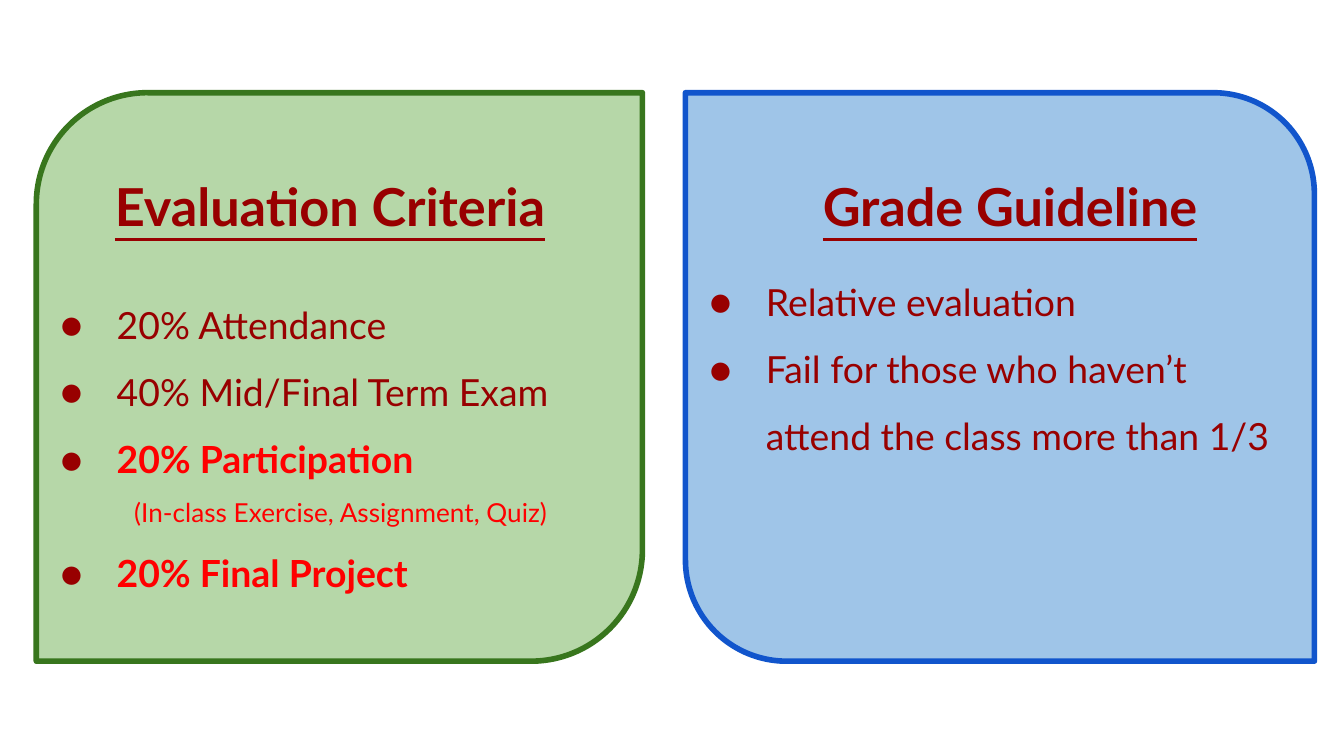
from lxml import etree
from pptx import Presentation
from pptx.dml.color import RGBColor
from pptx.enum.shapes import MSO_SHAPE
from pptx.enum.text import MSO_ANCHOR, PP_ALIGN
from pptx.oxml.ns import qn
from pptx.util import Inches, Pt

CARD = MSO_SHAPE.ROUND_2_DIAG_RECTANGLE
TOP, CENTER = MSO_ANCHOR.TOP, PP_ALIGN.CENTER

COLORS = {
    "maroon": "980000", "red": "FF0000",
    "green": "B6D7A8", "dark_green": "38761D",
    "blue": "9FC5E8", "dark_blue": "1155CC",
}
FONT = "Lato"

# Text styles: font values, indent in inches, bullet or not
STYLES = {
    "title": {"font": {"size": Pt(28), "bold": True, "underline": True}, "color": "maroon"},
    "item": {"font": {"size": Pt(20)}, "color": "maroon", "bullet": True},
    "key": {"font": {"size": Pt(20), "bold": True}, "color": "red", "bullet": True},
    "note": {"font": {"size": Pt(14)}, "color": "red", "indent": 0.63},
}

# Content: boxes are left, top, width, height in inches
CARD_TOP, CARD_H = 0.69, 4.23
TITLE_TOP, TITLE_W, TEXT_H = 0.96, 4.51, 1.23
CARDS = [
    {
        "left": 0.27, "width": 4.51, "corners": (0.196, 0),
        "fill": "green", "line": "dark_green",
        "title": "Evaluation Criteria", "title_left": 0.2,
        "list_top": 1.98, "list_width": 4.61,
        "items": [
            ("20% Attendance", "item"),
            ("40% Mid/Final Term Exam", "item"),
            ("20% Participation", "key"),
            ("(In-class Exercise, Assignment, Quiz)", "note"),
            ("20% Final Project", "key"),
        ],
    },
    {
        "left": 5.1, "width": 4.68, "corners": (0, 0.178),
        "fill": "blue", "line": "dark_blue",
        "title": "Grade Guideline", "title_left": 5.26,
        "list_top": 1.81, "list_width": 4.68,
        "items": [
            ("Relative evaluation", "item"),
            ("Fail for those who haven’t attend the class more than 1/3", "item"),
        ],
    },
]


def rgb(name):
    return RGBColor.from_string(COLORS[name])


def set_indent(p, left, first=0.0, bullet=False):
    pPr = p._p.get_or_add_pPr()
    pPr.set("marL", str(Inches(left)))
    pPr.set("indent", str(Inches(first)))
    if bullet:
        clr = etree.SubElement(pPr, qn("a:buClr"))
        etree.SubElement(clr, qn("a:srgbClr"), val=COLORS["maroon"])
        etree.SubElement(pPr, qn("a:buFont"), typeface=FONT)
        etree.SubElement(pPr, qn("a:buChar"), char="●")


def add_text(slide, box, lines):
    tf = slide.shapes.add_textbox(*map(Inches, box)).text_frame
    tf.word_wrap = True
    tf.vertical_anchor = TOP
    for side in ("left", "top", "right", "bottom"):
        setattr(tf, f"margin_{side}", Inches(0.1))
    for i, (text, style_name) in enumerate(lines):
        style = STYLES[style_name]
        p = tf.add_paragraph() if i else tf.paragraphs[0]
        p.line_spacing = 1.5
        if style_name == "title":
            p.alignment = CENTER
            p.space_after = Pt(16)
        elif style.get("bullet"):
            set_indent(p, 0.5, -0.42, bullet=True)
        else:
            set_indent(p, style["indent"])
        r = p.add_run()
        r.text = text
        r.font.name = FONT
        r.font.color.rgb = rgb(style["color"])
        for name, value in style["font"].items():
            setattr(r.font, name, value)


def add_card(slide, card):
    # Panel with two rounded corners
    box = (card["left"], CARD_TOP, card["width"], CARD_H)
    sp = slide.shapes.add_shape(CARD, *map(Inches, box))
    sp.shadow.inherit = False
    for i, corner in enumerate(card["corners"]):
        sp.adjustments[i] = corner
    sp.fill.solid()
    sp.fill.fore_color.rgb = rgb(card["fill"])
    sp.line.color.rgb = rgb(card["line"])
    sp.line.width = Pt(3)

    # Heading and list
    add_text(slide, (card["title_left"], TITLE_TOP, TITLE_W, TEXT_H),
             [(card["title"], "title")])
    add_text(slide, (card["left"], card["list_top"], card["list_width"], TEXT_H),
             card["items"])


def main():
    prs = Presentation()
    # Widescreen 16:9
    prs.slide_width = Inches(10)
    prs.slide_height = prs.slide_width * 9 // 16
    slide = prs.slides.add_slide(prs.slide_layouts[6])
    for card in CARDS:
        add_card(slide, card)
    prs.save("out.pptx")


if __name__ == "__main__":
    main()
